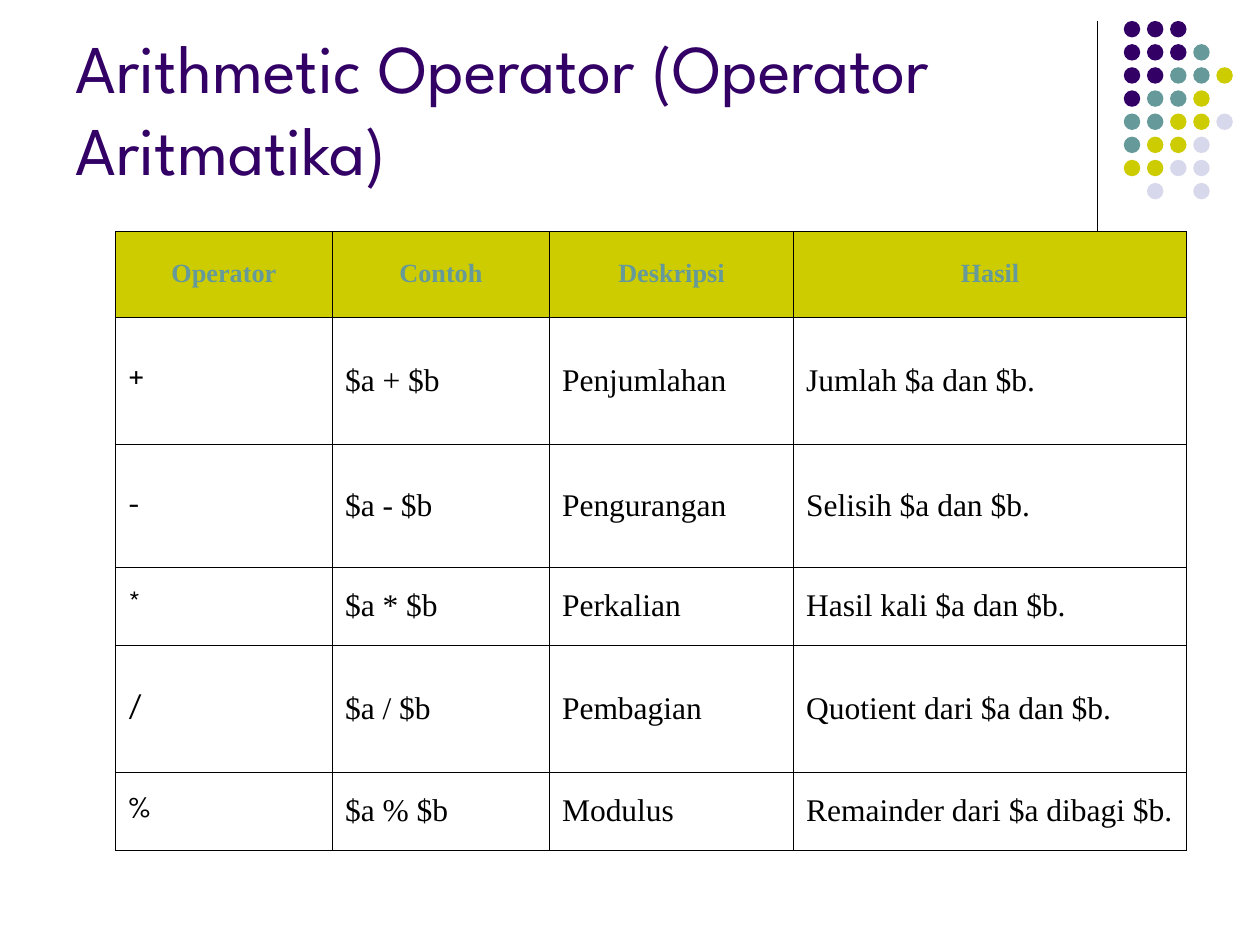
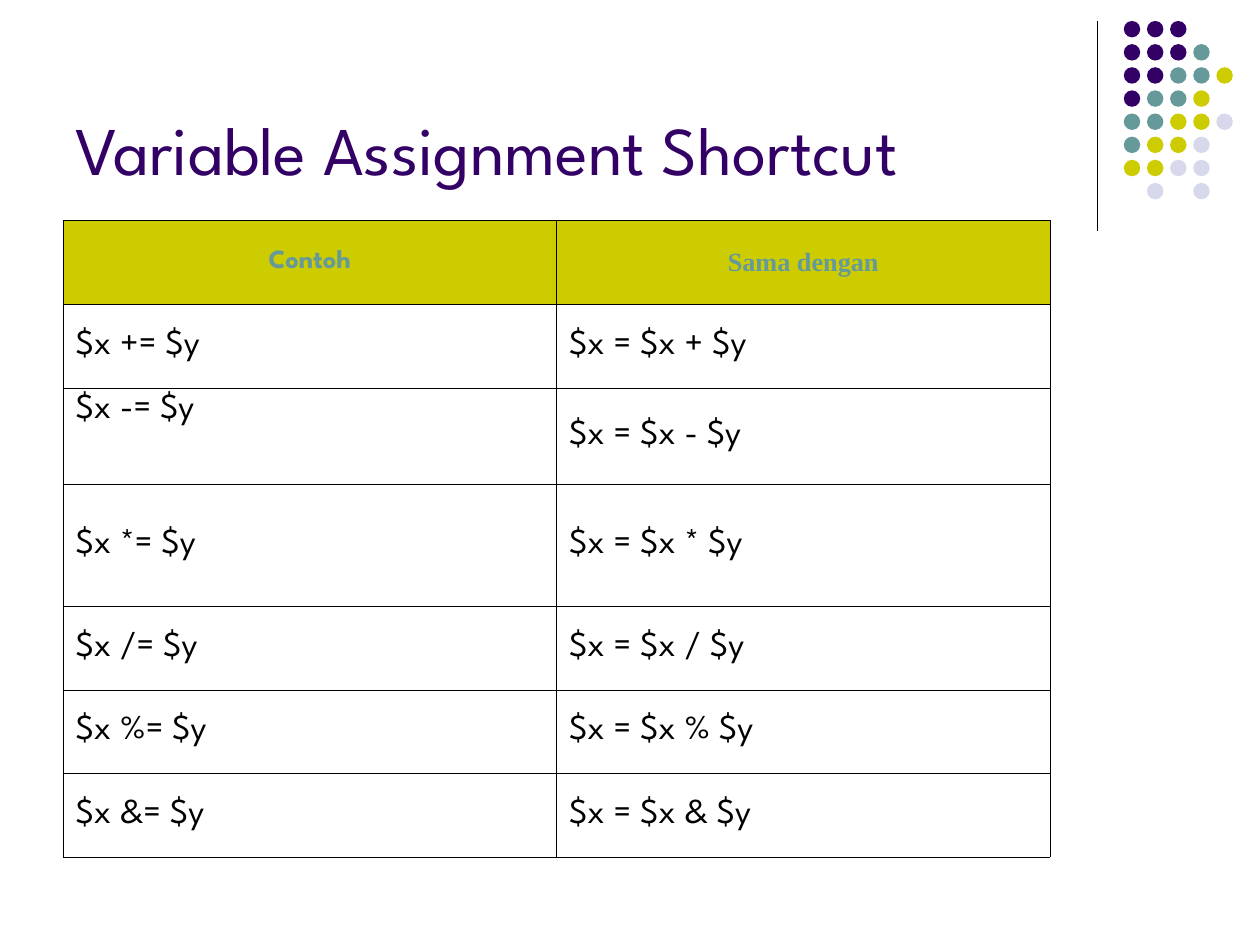
from dataclasses import dataclass

from lxml import etree
from pptx import Presentation
from pptx.dml.color import RGBColor
from pptx.enum.shapes import MSO_CONNECTOR, MSO_SHAPE
from pptx.enum.text import MSO_ANCHOR, PP_ALIGN
from pptx.oxml.ns import qn
from pptx.util import Pt

OVAL = MSO_SHAPE.OVAL
STRAIGHT = MSO_CONNECTOR.STRAIGHT
TOP, MIDDLE, BOTTOM = MSO_ANCHOR.TOP, MSO_ANCHOR.MIDDLE, MSO_ANCHOR.BOTTOM
LEFT, CENTER = PP_ALIGN.LEFT, PP_ALIGN.CENTER


@dataclass(frozen=True)
class Theme:
    """Colours, fonts and type sizes shared by the slides."""
    purple: str = "330066"
    teal: str = "669999"
    lime: str = "CCCC00"
    lavender: str = "D8D8EC"
    ink: str = "000000"
    sans: str = "League Spartan"
    serif: str = "Times New Roman"
    title_size: float = 39
    header_size: float = 15
    operator_size: float = 18
    shortcut_size: float = 20
    rule_width: float = 0.75
    border_width: float = 0.34


THEME = Theme()
DOT_COLOURS = {"P": THEME.purple, "T": THEME.teal, "L": THEME.lime, "V": THEME.lavender}
DOT_ROWS = ["PPP", "PPPT", "PPTTL", "PTTL", "TTLLV", "TLLV", "LLVV", ".V.V"]

TITLE_BOX = (36, 9.4, 594, 102)
ORNAMENT_BOX = (627, 12, 77, 120)

OPERATORS = [
    ("Operator", "Contoh", "Deskripsi", "Hasil"),
    ("+", "$a + $b", "Penjumlahan", "Jumlah $a dan $b."),
    ("-", "$a - $b", "Pengurangan", "Selisih $a dan $b."),
    ("*", "$a * $b", "Perkalian", "Hasil kali $a dan $b."),
    ("/", "$a / $b", "Pembagian", "Quotient dari $a dan $b."),
    ("%", "$a % $b", "Modulus", "Remainder dari $a dibagi $b."),
]
SHORTCUTS = [("Contoh", "Sama dengan")] + [
    (f"$x {sign}= $y", f"$x = $x {sign} $y") for sign in "+-*/%&"
]


def style_text(paragraph, font_name, size, colour, bold=False):
    """Format every run of a paragraph."""
    for run in paragraph.runs:
        run.font.name = font_name
        run.font.size = Pt(size)
        run.font.bold = bold
        run.font.color.rgb = RGBColor.from_string(colour)


def add_ornament(slide, box):
    """Draw the vertical rule and the dot grid inside the box."""
    left, top, _, height = box
    dots_left, pitch, diameter = left + 15.2, 13.22, 9.4
    rule = slide.shapes.add_connector(
        STRAIGHT, Pt(left), Pt(top), Pt(left), Pt(top + height))
    rule.line.color.rgb = RGBColor.from_string(THEME.ink)
    rule.line.width = Pt(THEME.rule_width)
    etree.SubElement(rule._element.spPr, qn("a:effectLst"))
    dots = slide.shapes.add_group_shape()
    for row, pattern in enumerate(DOT_ROWS):
        for column, key in enumerate(pattern):
            if key not in DOT_COLOURS:
                continue
            dot = dots.shapes.add_shape(
                OVAL, Pt(dots_left + column * pitch), Pt(top + row * pitch),
                Pt(diameter), Pt(diameter))
            dot.shadow.inherit = False
            dot.fill.solid()
            dot.fill.fore_color.rgb = RGBColor.from_string(DOT_COLOURS[key])
            dot.line.fill.background()


def add_title(slide, box, wording):
    """Place the slide title at the bottom of the box."""
    frame = slide.shapes.add_textbox(*map(Pt, box)).text_frame
    frame.word_wrap = True
    frame.vertical_anchor = BOTTOM
    frame.text = wording
    style_text(frame.paragraphs[0], THEME.sans, THEME.title_size, THEME.purple)


def set_borders(cell):
    """Give a cell thin lines on all four sides."""
    properties = cell._tc.get_or_add_tcPr()
    for side in ("a:lnL", "a:lnR", "a:lnT", "a:lnB"):
        line = etree.SubElement(properties, qn(side), w=str(Pt(THEME.border_width)))
        fill = etree.SubElement(line, qn("a:solidFill"))
        etree.SubElement(fill, qn("a:srgbClr"), val=THEME.ink)


def add_grid(slide, origin, widths, heights, rows, header_fonts, body_fonts,
             body_size, space_before=0):
    """Build a bordered table with a lime header and return it."""
    box = (*origin, sum(widths), sum(heights))
    table = slide.shapes.add_table(len(rows), len(widths), *map(Pt, box)).table
    table.first_row = table.horz_banding = False
    for column, width in zip(table.columns, widths):
        column.width = Pt(width)
    for row_index, (height, wordings) in enumerate(zip(heights, rows)):
        table.rows[row_index].height = Pt(height)
        is_header = row_index == 0
        fonts = header_fonts if is_header else body_fonts
        for column_index, (wording, font_name) in enumerate(zip(wordings, fonts)):
            cell = table.cell(row_index, column_index)
            set_borders(cell)
            cell.vertical_anchor = MIDDLE
            cell.text_frame.text = wording
            paragraph = cell.text_frame.paragraphs[0]
            if is_header:
                cell.fill.solid()
                cell.fill.fore_color.rgb = RGBColor.from_string(THEME.lime)
                paragraph.alignment = CENTER
                style_text(paragraph, font_name, THEME.header_size, THEME.teal, True)
            else:
                cell.fill.background()
                paragraph.alignment = LEFT
                paragraph.space_before = Pt(space_before)
                style_text(paragraph, font_name, body_size, THEME.ink)
    return table


def start_slide(deck, wording):
    """Add a blank slide with the shared ornament and title."""
    slide = deck.slides.add_slide(deck.slide_layouts[6])
    add_ornament(slide, ORNAMENT_BOX)
    add_title(slide, TITLE_BOX, wording)
    return slide


def add_operator_slide(deck):
    """Show the arithmetic operators."""
    slide = start_slide(deck, "Arithmetic Operator (Operator Aritmatika)")
    add_grid(slide, (66, 132), (124, 124, 139.5, 224.5),
             (49.2, 72.6, 70.2, 44.6, 72.6, 44.6), OPERATORS,
             [THEME.serif] * 4, [THEME.sans] + [THEME.serif] * 3,
             THEME.operator_size)


def add_shortcut_slide(deck):
    """Show the assignment shortcuts."""
    slide = start_slide(deck, "Variable Assignment Shortcut")
    table = add_grid(slide, (36, 126), (282, 282),
                     (48, 47.8, 55, 69.6, 47.8, 47.8, 47.8), SHORTCUTS,
                     [THEME.sans, THEME.serif], [THEME.sans] * 2,
                     THEME.shortcut_size, space_before=5)
    subtraction = table.cell(2, 0)
    subtraction.vertical_anchor = TOP


def main():
    """Build and save the deck."""
    deck = Presentation()
    deck.slide_width, deck.slide_height = Pt(720), Pt(540)
    add_operator_slide(deck)
    add_shortcut_slide(deck)
    deck.save("out.pptx")


if __name__ == "__main__":
    main()
